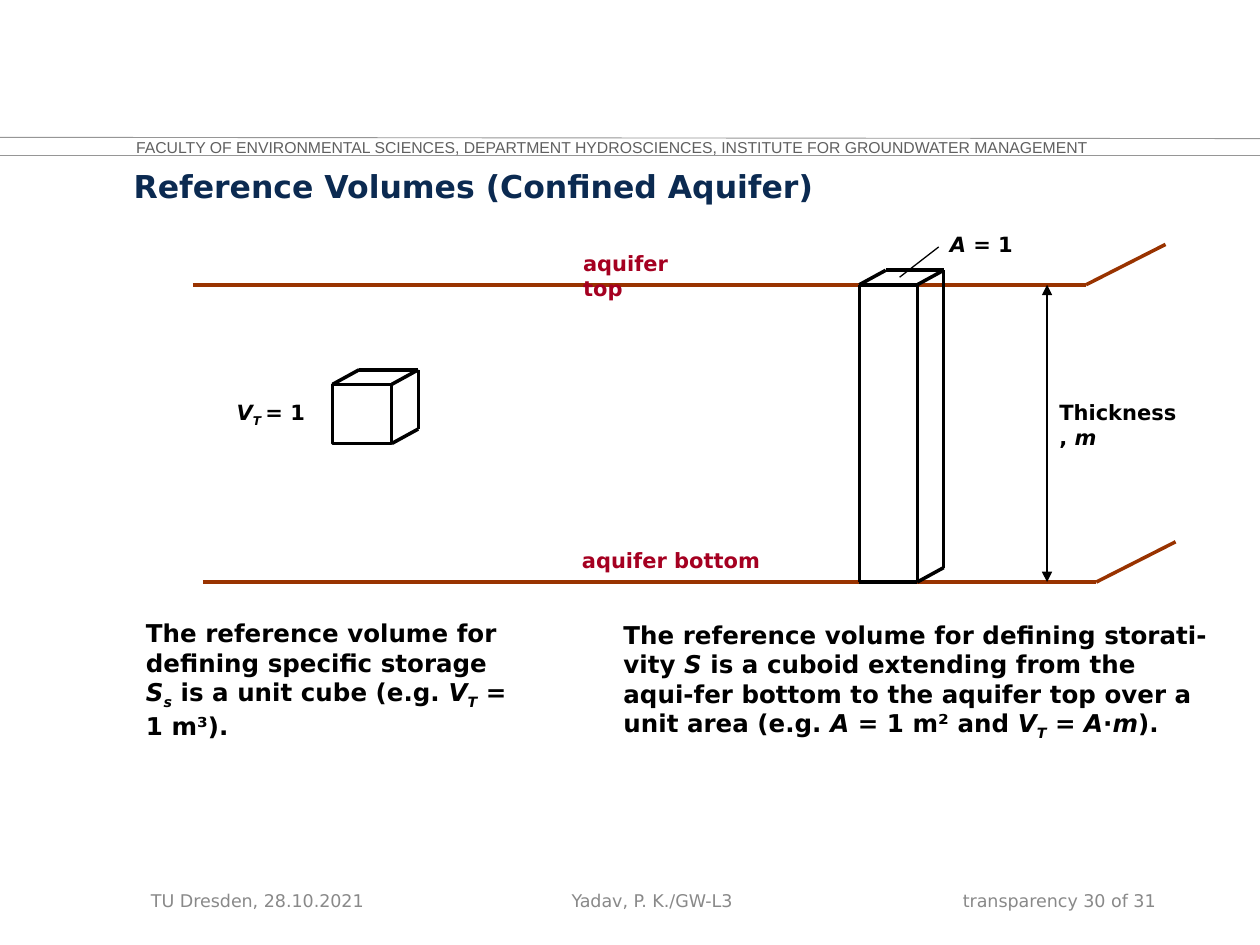
from lxml import etree
from pptx import Presentation
from pptx import util as u
from pptx.dml.color import RGBColor
from pptx.enum import shapes, text
from pptx.oxml.ns import qn

BLACK = RGBColor(0x00, 0x00, 0x00)
NAVY = RGBColor(0x0B, 0x2A, 0x51)
CRIMSON = RGBColor(0xA5, 0x00, 0x21)
BROWN = RGBColor(0x99, 0x33, 0x00)
RULE_GRAY = RGBColor(0x96, 0x96, 0x96)
HEADER_GRAY = RGBColor(0x60, 0x60, 0x60)
FOOTER_GRAY = RGBColor(0x89, 0x89, 0x89)
LEFT, CENTER, RIGHT = text.PP_ALIGN.LEFT, text.PP_ALIGN.CENTER, text.PP_ALIGN.RIGHT
TOP, MIDDLE = text.MSO_ANCHOR.TOP, text.MSO_ANCHOR.MIDDLE

deck = Presentation()
deck.slide_width, deck.slide_height = u.Inches(10), u.Inches(7.5)
COL, ROW = deck.slide_width / 100, deck.slide_height / 75
slide = deck.slides.add_slide(deck.slide_layouts[5])


def write(runs, col, row, cols, rows, box=None, size=12, color=BLACK, bold=True,
          font="DejaVu Sans", align=LEFT, anchor=TOP, inset=(0.1, 0.05), spacing=None):
    place = int(col * COL), int(row * ROW), int(cols * COL), int(rows * ROW)
    if box is None:
        box = slide.shapes.add_textbox(*place)
    box.left, box.top, box.width, box.height = place
    frame = box.text_frame
    frame.word_wrap = True
    frame.auto_size = text.MSO_AUTO_SIZE.NONE
    frame.vertical_anchor = anchor
    frame.margin_left, frame.margin_top = u.Inches(inset[0]), u.Inches(inset[1])
    frame.margin_right, frame.margin_bottom = u.Inches(0.1), u.Inches(0.05)
    line = frame.paragraphs[0]
    line.alignment = align
    if spacing:
        line.line_spacing = spacing
    for words, style in [(runs, "")] if isinstance(runs, str) else runs:
        run = line.add_run()
        run.text = words
        run.font.name, run.font.size = font, u.Pt(size)
        run.font.bold, run.font.italic = bold, style != ""
        run.font.color.rgb = color
        if style == "sub":
            run.font._element.set("baseline", "-25000")


def draw_line(start, end, color=BLACK, width=2, parent=slide, arrows=False):
    edge = parent.shapes.add_connector(
        shapes.MSO_CONNECTOR.STRAIGHT, int(start[0] * COL), int(start[1] * ROW),
        int(end[0] * COL), int(end[1] * ROW))
    edge.line.color.rgb, edge.line.width = color, u.Pt(width)
    if arrows:
        for tag in ("a:headEnd", "a:tailEnd"):
            etree.SubElement(edge.line._get_or_add_ln(), qn(tag), type="triangle")
    etree.SubElement(edge._element.spPr, qn("a:effectLst"))


draw_line((0, 12.3), (100, 12.3), RULE_GRAY, 0.5)
draw_line((0, 10.9), (100, 11), RULE_GRAY, 0.5)
write("FACULTY OF ENVIRONMENTAL SCIENCES, DEPARTMENT HYDROSCIENCES, "
      "INSTITUTE FOR GROUNDWATER MANAGEMENT", 10.8, 11.1, 81.7, 1.7,
      size=9, color=HEADER_GRAY, bold=False, font="Arial", anchor=MIDDLE, inset=(0, 0))
for words, col, cols, align in [("TU Dresden, 28.10.2021", 11, 25.6, LEFT),
                                ("Yadav, P. K./GW-L3", 35.9, 31.7, CENTER),
                                ("transparency 30 of 31", 69.4, 23.3, RIGHT)]:
    write(words, col, 69.5, cols, 4, size=10, color=FOOTER_GRAY, bold=False,
          align=align, anchor=MIDDLE)
write("Reference Volumes (Confined Aquifer)", 10.6, 13.1, 86.6, 4.7,
      box=slide.shapes.title, size=18, color=NAVY, inset=(0, 0.05), spacing=0.9)

for start, bend, level in [(15.3, 86.2, 22.6), (16.1, 87, 46.2)]:
    draw_line((start, level), (bend, level), BROWN)
    draw_line((bend, level), (bend + 6.3, level - 3.2), BROWN)
write("aquifer top", 45.3, 19.4, 12.4, 3.1, color=CRIMSON)
write("aquifer bottom", 45.2, 43, 16.5, 3.1, color=CRIMSON)

cube = slide.shapes.add_group_shape()
front = cube.shapes.add_shape(shapes.MSO_SHAPE.RECTANGLE, int(26.4 * COL), int(30.5 * ROW),
                              int(4.7 * COL), int(4.7 * ROW))
front.shadow.inherit = False
front.fill.background()
front.line.color.rgb, front.line.width = BLACK, u.Pt(1.5)

DEPTH, RISE = 2.1, 1.15
for parent, left, top, right, bottom in [(cube, 26.4, 30.5, 31.1, 35.2),
                                         (slide, 68.2, 22.6, 72.8, 46.2)]:
    back_left = left + DEPTH, top - RISE
    back_right = right + DEPTH, top - RISE
    back_foot = right + DEPTH, bottom - RISE
    for start, end in [((right, bottom), back_foot), ((right, top), back_right),
                       ((left, top), back_left), (back_left, back_right),
                       (back_right, back_foot)]:
        draw_line(start, end, parent=parent)
corners = [(left, top), (right, top), (right, bottom), (left, bottom)]
for start, end in zip(corners, corners[1:] + corners[:1]):
    draw_line(start, end)

draw_line((83.1, 22.6), (83.1, 46.2), width=1.25, arrows=True)
draw_line((71.4, 22), (74.5, 19.6), width=0.75)

write([("Thickness, ", ""), ("m", "i")], 83.1, 31.2, 11.7, 5.1)
write([("V", "i"), ("T ", "sub"), ("= 1", "")], 17.8, 31.2, 8.4, 3.1)
write([("A ", "i"), ("= 1", "")], 74.4, 17.9, 7.7, 3.1)
write([("The reference volume for defining specific storage ", ""), ("S", "i"), ("s", "sub"),
       (" is a unit cube (e.g. ", ""), ("V", "i"), ("T", "sub"), (" = 1 m³).", "")],
      10.6, 48.6, 31.5, 10.7, size=14)
write([("The reference volume for defining storati-vity ", ""), ("S", "i"),
       (" is a cuboid extending from the aqui-fer bottom to the aquifer top "
        "over a unit area (e.g. ", ""), ("A", "i"), (" = 1 m² and ", ""), ("V", "i"),
       ("T", "sub"), (" = ", ""), ("A", "i"), ("·", ""), ("m", "i"), (").", "")],
      48.5, 48.7, 48.7, 10.7, size=14)

deck.save("out.pptx")
